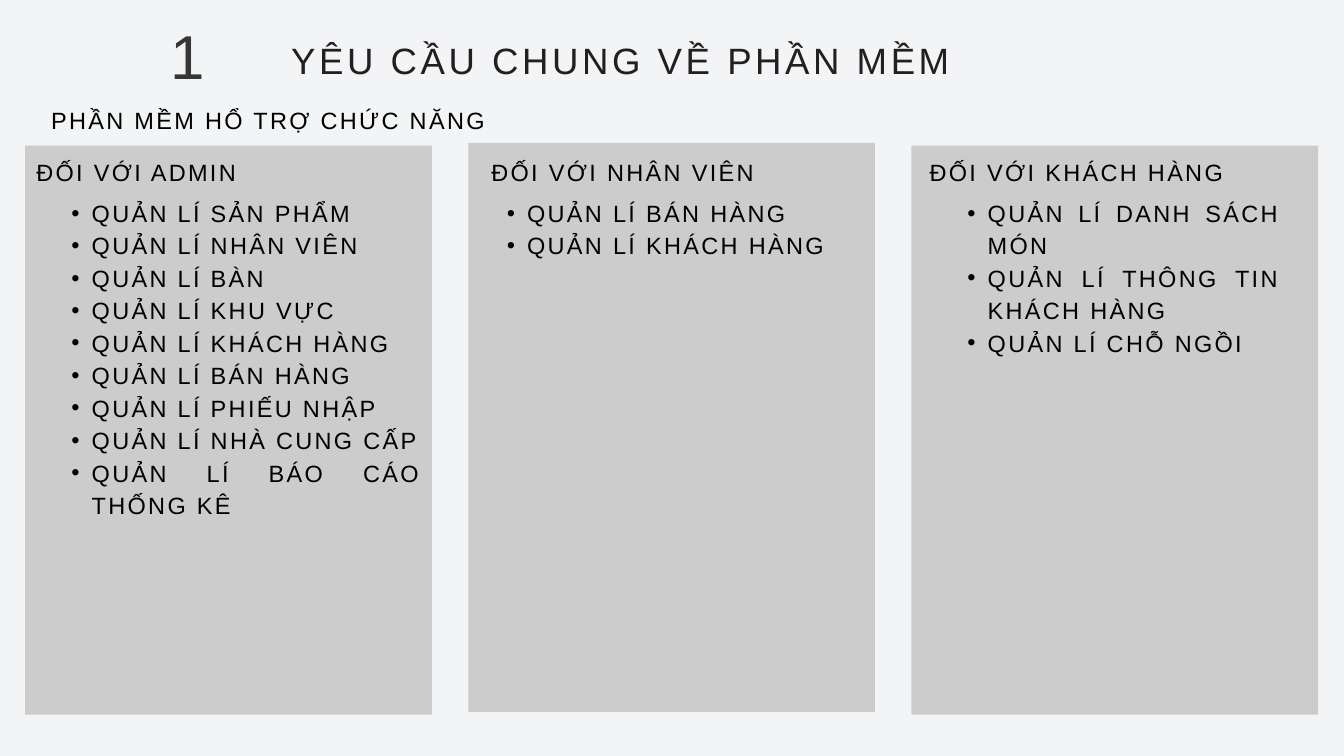
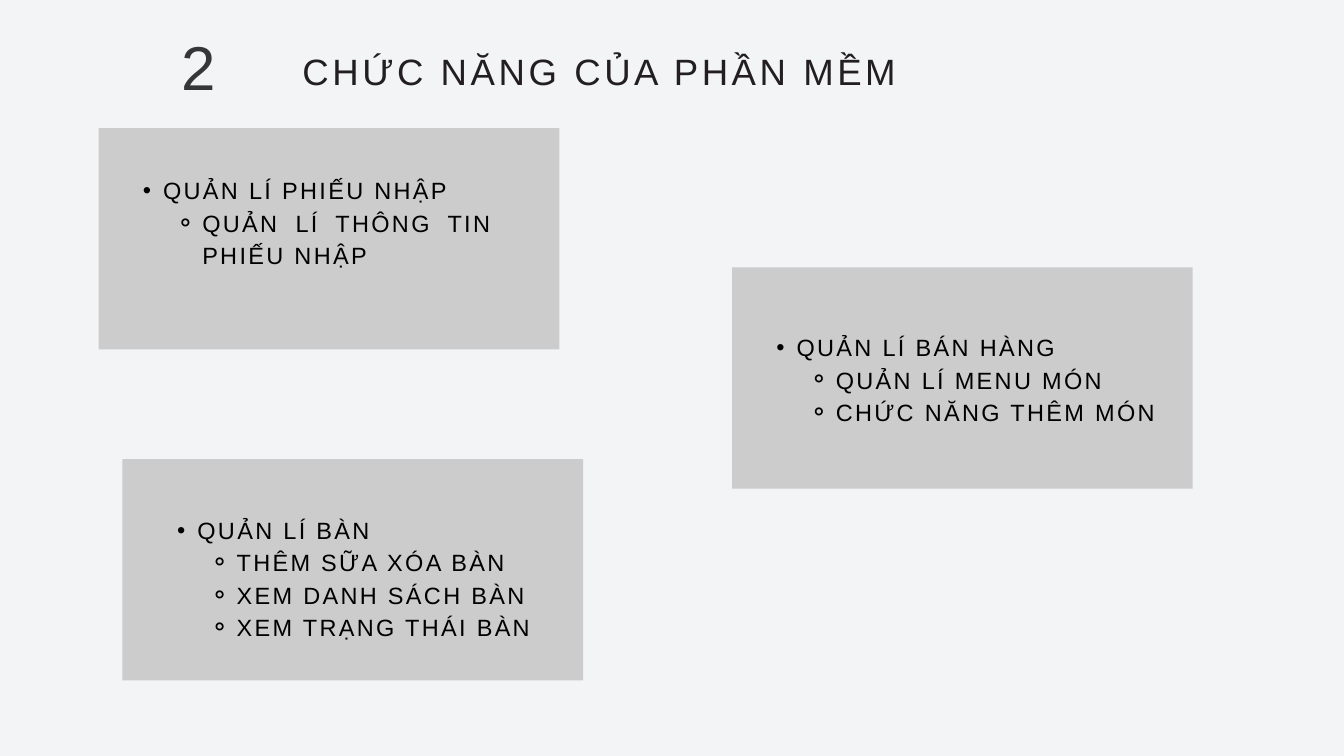
from dataclasses import dataclass

from lxml.etree import SubElement
from pptx import Presentation
from pptx.dml.color import RGBColor
from pptx.enum.shapes import MSO_SHAPE
from pptx.enum.text import MSO_AUTO_SIZE, PP_ALIGN
from pptx.oxml.ns import qn
from pptx.slide import Slide
from pptx.util import Emu, Pt

PX = 9525  # EMU per px, 96 px to the inch


@dataclass(frozen=True)
class Style:
    size: float
    leading: float
    color: str
    tracking: int = 0  # hundredths of a point


@dataclass(frozen=True)
class Theme:
    font: str = "Arial"
    background: str = "F2F4F5"
    panel: str = "CCCCCC"
    number: Style = Style(66.3, 79.6, "363636")
    title: Style = Style(39.2, 54.1, "231F20", 380)
    body: Style = Style(25.2, 34.8, "000000", 250)


@dataclass(frozen=True)
class Box:
    x: int
    y: int
    w: int
    h: int


@dataclass(frozen=True)
class Bullet:
    char: str
    margin: int
    indent: int


@dataclass(frozen=True)
class Role:
    heading: str
    heading_x: int
    panel_y: int
    list_box: Box
    duties: tuple[str, ...]


@dataclass(frozen=True)
class Feature:
    panel: Box
    list_box: Box
    name: str
    details: tuple[str, ...]


THEME = Theme()
BULLETS = {1: Bullet("•", 58, -29), 2: Bullet("⚬", 114, -38)}

ROLES = (
    Role("ĐỐI VỚI ADMIN", 52, 208, Box(73, 278, 529, 468),
         ("QUẢN LÍ SẢN PHẨM", "QUẢN LÍ NHÂN VIÊN", "QUẢN LÍ BÀN",
          "QUẢN LÍ KHU VỰC", "QUẢN LÍ KHÁCH HÀNG", "QUẢN LÍ BÁN HÀNG",
          "QUẢN LÍ PHIẾU NHẬP", "QUẢN LÍ NHÀ CUNG CẤP",
          "QUẢN LÍ BÁO CÁO THỐNG KÊ")),
    Role("ĐỐI VỚI NHÂN VIÊN", 702, 204, Box(695, 278, 529, 90),
         ("QUẢN LÍ BÁN HÀNG", "QUẢN LÍ KHÁCH HÀNG")),
    Role("ĐỐI VỚI KHÁCH HÀNG", 1328, 208, Box(1353, 278, 476, 231),
         ("QUẢN LÍ DANH SÁCH MÓN", "QUẢN LÍ THÔNG TIN KHÁCH HÀNG",
          "QUẢN LÍ CHỖ NGỒI")),
)

FEATURES = (
    Feature(Box(141, 183, 658, 316), Box(175, 246, 529, 137),
            "QUẢN LÍ PHIẾU NHẬP", ("QUẢN LÍ THÔNG TIN PHIẾU NHẬP",)),
    Feature(Box(175, 656, 658, 316), Box(224, 731, 558, 184),
            "QUẢN LÍ BÀN",
            ("THÊM SỮA XÓA BÀN", "XEM DANH SÁCH BÀN", "XEM TRẠNG THÁI BÀN")),
    Feature(Box(1046, 382, 658, 316), Box(1080, 470, 576, 137),
            "QUẢN LÍ BÁN HÀNG", ("QUẢN LÍ MENU MÓN", "CHỨC NĂNG THÊM MÓN")),
)


def place(box: Box) -> tuple[Emu, ...]:
    return tuple(Emu(v * PX) for v in (box.x, box.y, box.w, box.h))


def add_text(s: Slide, box: Box, *lines: tuple[str, int],
             style: Style = THEME.body,
             align: PP_ALIGN = PP_ALIGN.JUSTIFY) -> None:
    """Each line is (text, level); levels above 0 carry a bullet."""
    tf = s.shapes.add_textbox(*place(box)).text_frame
    tf.margin_left = tf.margin_right = tf.margin_top = tf.margin_bottom = 0
    tf.word_wrap = True
    tf.auto_size = MSO_AUTO_SIZE.SHAPE_TO_FIT_TEXT
    for i, (text, level) in enumerate(lines):
        p = tf.paragraphs[0] if i == 0 else tf.add_paragraph()
        p.alignment = align
        p.level = level
        p.line_spacing = Pt(style.leading)
        if level:
            add_bullet(p, BULLETS[level])
        r = p.add_run()
        r.text = text
        r.font.name = THEME.font
        r.font.size = Pt(style.size)
        r.font.color.rgb = RGBColor.from_string(style.color)
        if style.tracking:
            r.font._element.set("spc", str(style.tracking))


def add_bullet(p, bullet: Bullet) -> None:
    pPr = p._p.get_or_add_pPr()
    pPr.set("marL", str(bullet.margin * PX))
    pPr.set("indent", str(bullet.indent * PX))
    SubElement(pPr, qn("a:buFont")).set("typeface", THEME.font)
    SubElement(pPr, qn("a:buChar")).set("char", bullet.char)


def add_panel(s: Slide, box: Box) -> None:
    sp = s.shapes.add_shape(MSO_SHAPE.RECTANGLE, *place(box))
    sp.shadow.inherit = False
    sp.fill.solid()
    sp.fill.fore_color.rgb = RGBColor.from_string(THEME.panel)
    sp.line.fill.background()


def add_titled_slide(prs, number: str, title: str, x: int, y: int,
                     title_w: int) -> Slide:
    s = prs.slides.add_slide(prs.slide_layouts[6])
    s.background.fill.solid()
    s.background.fill.fore_color.rgb = RGBColor.from_string(THEME.background)
    add_text(s, Box(x, y, 153, 105), (number, 0), style=THEME.number,
             align=PP_ALIGN.CENTER)
    add_text(s, Box(x + 224, y + 20, title_w, 68), (title, 0),
             style=THEME.title, align=PP_ALIGN.LEFT)
    return s


def build_requirements(prs) -> None:
    s = add_titled_slide(prs, "1", "YÊU CẦU CHUNG VỀ PHẦN MỀM", 192, 25, 1232)
    add_text(s, Box(73, 145, 1671, 44), ("PHẦN MỀM HỔ TRỢ CHỨC NĂNG", 0))
    # One column per user role
    for i, role in enumerate(ROLES):
        add_panel(s, Box(36 + 633 * i, role.panel_y, 581, 813))
        add_text(s, Box(role.heading_x, 220, 529, 44), (role.heading, 0))
        add_text(s, role.list_box, *((duty, 1) for duty in role.duties))


def build_features(prs) -> None:
    s = add_titled_slide(prs, "2", "CHỨC NĂNG CỦA PHẦN MỀM", 208, 41, 944)
    # Staggered feature cards
    for feature in FEATURES:
        add_panel(s, feature.panel)
        add_text(s, feature.list_box, (feature.name, 1),
                 *((detail, 2) for detail in feature.details))


def main() -> None:
    prs = Presentation()
    prs.slide_width, prs.slide_height = Emu(1920 * PX), Emu(1080 * PX)
    build_requirements(prs)
    build_features(prs)
    prs.save("out.pptx")


if __name__ == "__main__":
    main()
